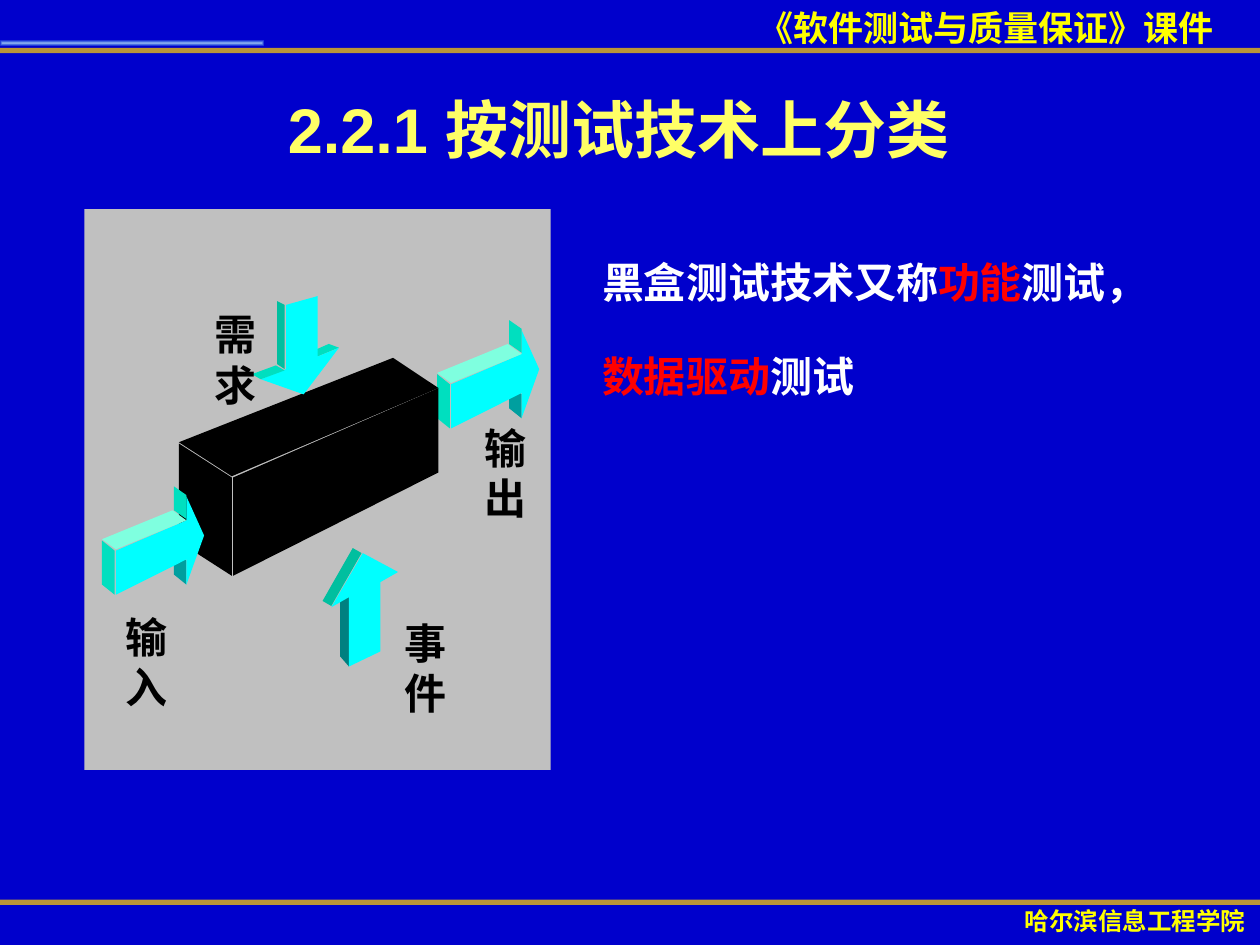
from lxml.etree import SubElement
from pptx import Presentation
from pptx.dml.color import RGBColor
from pptx.enum.shapes import MSO_CONNECTOR as Connector, MSO_SHAPE as Shape
from pptx.enum.text import MSO_ANCHOR as Anchor, PP_ALIGN as Align
from pptx.oxml import parse_xml
from pptx.oxml.ns import nsdecls, qn
from pptx.util import Inches, Pt

CELL = Inches(0.01)
COLUMNS, ROWS = 1000, 750
YELLOW, WHITE, RED, BLACK = "FFFF00", "FFFFFF", "FF0000", "000000"
CYAN, MINT, TEAL, SEA = "00FFFF", "00DFBF", "009F9F", "00BF9F"

SIDE_ARROW = [
    (TEAL, [(67, 78), (67, 59), (57, 51), (57, 70)]),
    (CYAN, [(67, 27), (11, 51), (11, 86), (67, 58), (67, 78), (81, 39), (67, 8)]),
    (MINT, [(10, 51), (10, 86), (0, 78), (0, 43)]),
    ("7FFFDF", [(0, 42), (11, 50), (67, 27), (56, 19)]),
    (MINT, [(67, 7), (57, 0), (57, 19), (67, 26)]),
]
UP_ARROW = [
    ("008080", [(21, 94), (21, 39), (14, 35), (14, 86)]),
    (CYAN, [(32, 4), (60, 19), (46, 27), (46, 82), (21, 94), (21, 39), (7, 47)]),
    (SEA, [(7, 46), (0, 42), (24, 0), (31, 4)]),
]
DOWN_ARROW = [
    (MINT, [(52, 48), (69, 41), (61, 38), (45, 45)]),
    (CYAN, [(27, 7), (52, 0), (52, 48), (69, 41), (41, 78), (7, 66), (27, 58)]),
    (MINT, [(7, 66), (0, 62), (19, 55), (26, 59)]),
    (SEA, [(20, 54), (26, 58), (26, 7), (20, 4)]),
]
BLACK_BOX = [
    (BLACK, [(0, 68), (42, 95), (42, 173), (0, 146)]),
    (BLACK, [(0, 67), (42, 94), (206, 24), (170, 0)]),
    (BLACK, [(43, 95), (43, 173), (206, 91), (206, 24)]),
]


def color(value):
    return RGBColor.from_string(value)


def cells(*values):
    return [value * CELL for value in values]


def paint(shape, value):
    shape.fill.solid()
    shape.fill.fore_color.rgb = color(value)
    shape.line.fill.background()
    shape.shadow.inherit = False


def add_text(page, box, paragraphs, size=24, ink=BLACK, align=Align.LEFT,
             anchor=Anchor.TOP, spacing=None, before=0, wrap=True):
    frame = page.shapes.add_textbox(*cells(*box)).text_frame
    frame.word_wrap = wrap
    frame.vertical_anchor = anchor
    for number, spans in enumerate(paragraphs):
        para = frame.add_paragraph() if number else frame.paragraphs[0]
        para.alignment = align
        para.line_spacing = spacing
        para.space_before = Pt(before)
        for text, tint in spans:
            span = para.add_run()
            span.text = text
            span.font.name = "Arial"
            span.font.size = Pt(size)
            span.font.bold = True
            span.font.color.rgb = color(tint or ink)


def add_rule(page, row):
    rule = page.shapes.add_connector(
        Connector.STRAIGHT, *cells(0, row, COLUMNS, row))
    rule.line.width = Pt(3)
    rule.line.color.rgb = color("FFCC00")
    tint = rule.line._get_or_add_ln().find(".//" + qn("a:srgbClr"))
    SubElement(tint, qn("a:alpha")).set("val", "72000")
    SubElement(rule._element.spPr, qn("a:effectLst"))


def add_glow(page, box):
    bar = page.shapes.add_shape(Shape.RECTANGLE, *cells(*box))
    paint(bar, "66CCFF")
    stops = "".join(
        f'<a:gs pos="{place}"><a:srgbClr val="{tint}"><a:alpha val="{alpha}"/>'
        "</a:srgbClr></a:gs>"
        for place, tint, alpha in [(0, "C3EBFF", 82000), (100000, "66CCFF", 18000)])
    gradient = parse_xml(
        f'<a:gradFill {nsdecls("a")}><a:gsLst>{stops}</a:gsLst><a:path path="shape">'
        '<a:fillToRect l="50000" t="50000" r="50000" b="50000"/></a:path></a:gradFill>')
    properties = bar._element.spPr
    properties.replace(properties.find(qn("a:solidFill")), gradient)


def add_solid(page, left, top, faces):
    group = page.shapes.add_group_shape()
    for tint, (start, *others) in faces:
        outline = group.shapes.build_freeform(*start, scale=CELL)
        outline.add_line_segments(others, close=True)
        paint(outline.convert_to_shape(*cells(left, top)), tint)


def add_header(page, box):
    left, top, width, height = box
    add_rule(page, top + height)
    add_text(page, (left + 592, top, 515, 43),
             [[("《软件测试与质量保证》课件", None)]], size=20, ink=YELLOW)
    add_glow(page, (left, top + 32, 209, 4))


def add_footer(page, box):
    left, top, width, height = box
    add_rule(page, top)
    add_text(page, (left + 783, top - 2, 236, height),
             [[("哈尔滨信息工程学院", None)]],
             size=14, ink=YELLOW, align=Align.CENTER)


def add_diagram(page, box):
    left, top, width, height = box
    panel = page.shapes.add_shape(Shape.RECTANGLE, *cells(*box))
    paint(panel, "C0C0C0")
    for x, y, faces in [(280, 88, SIDE_ARROW), (189, 269, UP_ARROW),
                        (75, 118, BLACK_BOX), (133, 69, DOWN_ARROW),
                        (14, 220, SIDE_ARROW)]:
        add_solid(page, left + x, top + y, faces)
    for x, y, label in [(93, 74, "需求"), (244, 319, "事件"),
                        (23, 314, "输入"), (308, 164, "输出")]:
        add_text(page, (left + x, top + y, 72, 91), [[(label, None)]])


def add_body(page, box):
    add_text(page, box, [
        [("黑盒测试技术又称", None), ("功能", RED), ("测试，", None)],
        [("数据驱动", RED), ("测试", None)],
    ], ink=WHITE, spacing=1.7, before=4.8)


def main():
    deck = Presentation()
    deck.slide_width, deck.slide_height = cells(COLUMNS, ROWS)
    page = deck.slides.add_slide(deck.slide_layouts[6])
    page.background.fill.solid()
    page.background.fill.fore_color.rgb = color("0000CC")
    add_header(page, (0, 0, COLUMNS, 40))
    add_footer(page, (0, 716, COLUMNS, 34))
    add_text(page, (24, 39, 934, 125), [[("2.2.1 按测试技术上分类", None)]],
             size=36, ink="FFFF66", align=Align.CENTER, anchor=Anchor.MIDDLE)
    add_diagram(page, (67, 166, 370, 445))
    add_body(page, (468, 171, 490, 215))
    deck.save("out.pptx")


if __name__ == "__main__":
    main()
